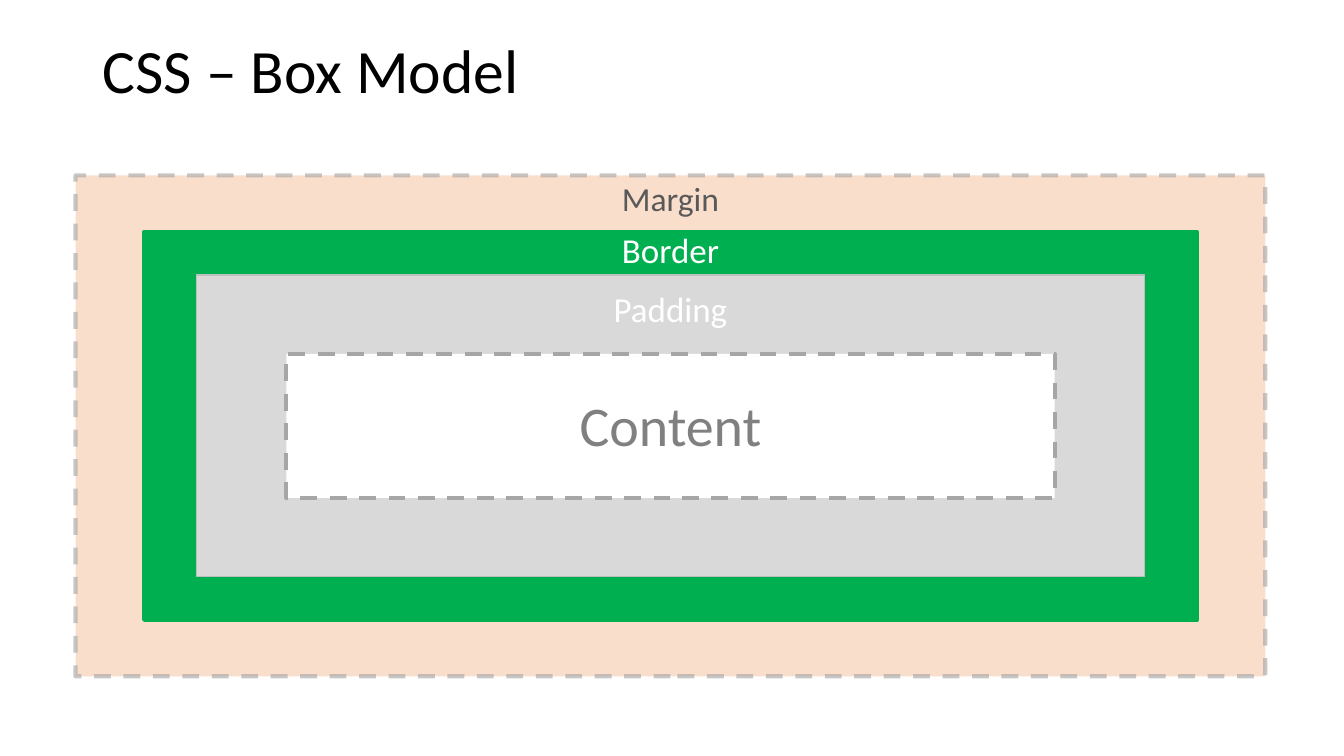
from collections import namedtuple

from lxml import etree
from pptx import Presentation
from pptx.dml.color import RGBColor
from pptx.enum.dml import MSO_LINE_DASH_STYLE as DASH
from pptx.enum.shapes import MSO_SHAPE as SHAPE
from pptx.enum.text import MSO_ANCHOR as ANCHOR, MSO_AUTO_SIZE as FIT, PP_ALIGN as ALIGN
from pptx.oxml.ns import qn
from pptx.util import Emu, Pt

PX = 9144  # 100 px to the inch
FONT = "Calibri"
COLORS = {
    "title": "000000", "white": "FFFFFF", "peach": "F8CBAD", "green": "00B050",
    "light": "D9D9D9", "silver": "BFBFBF", "gray": "A6A6A6",
    "dark": "595959", "medium": "808080",
}

Box = namedtuple("Box", "x y w h")
# inset: distance (x, y) from the enclosing layer; label: offset from layer top, width, height
Layer = namedtuple("Layer", "name inset fill line line_pt dash alpha label size color")

LAYERS = [
    Layer("Margin", (0, 0), "peach", "gray", 3, True, 62, (-2, 118, 50), 24, "dark"),
    Layer("Border", (68, 56), "green", "green", 3, False, 100, (-8, 118, 52), 25, "white"),
    Layer("Padding", (52, 43), "light", "silver", 1, False, 100, (7, 134, 52), 25, "white"),
    Layer("Content", (89, 78), "white", "gray", 3, True, 100, (32, 269, 77), 40, "medium"),
]


def rgb(name):
    return RGBColor.from_string(COLORS[name])


def emu(box):
    return [Emu(round(v * PX)) for v in box]


def set_font(p, size, color):
    p.font.name = FONT
    p.font.size = Pt(size)
    p.font.color.rgb = rgb(color)


def set_alpha(sp, percent):
    """Make the fill and the line of a shape partly transparent."""
    for clr in sp._element.spPr.iter(qn("a:srgbClr")):
        etree.SubElement(clr, qn("a:alpha"), val=str(percent * 1000))


def add_title(slide, box, text):
    title = slide.shapes.title
    title.left, title.top, title.width, title.height = emu(box)
    tf = title.text_frame
    tf.text = text
    tf.vertical_anchor = ANCHOR.MIDDLE
    p = tf.paragraphs[0]
    p.alignment = ALIGN.LEFT
    p.line_spacing = 0.9
    set_font(p, 44, "title")


def add_layer(slide, box, layer):
    sp = slide.shapes.add_shape(SHAPE.RECTANGLE, *emu(box))
    sp.shadow.inherit = False
    sp.fill.solid()
    sp.fill.fore_color.rgb = rgb(layer.fill)
    sp.line.color.rgb = rgb(layer.line)
    sp.line.width = Pt(layer.line_pt)
    if layer.dash:
        sp.line.dash_style = DASH.DASH
    if layer.alpha < 100:
        set_alpha(sp, layer.alpha)


def add_label(slide, box, layer):
    """Centre the name of a layer across its box."""
    dy, w, h = layer.label
    area = Box(box.x + (box.w - w) / 2, box.y + dy, w, h)
    tf = slide.shapes.add_textbox(*emu(area)).text_frame
    tf.word_wrap = True
    tf.auto_size = FIT.SHAPE_TO_FIT_TEXT
    p = tf.paragraphs[0]
    p.text = layer.name
    p.alignment = ALIGN.CENTER
    set_font(p, layer.size, layer.color)


def add_box_model(slide, box):
    """Nest the layers from the outermost inwards."""
    for layer in LAYERS:
        dx, dy = layer.inset
        box = Box(box.x + dx, box.y + dy, box.w - 2 * dx, box.h - 2 * dy)
        add_layer(slide, box, layer)
        add_label(slide, box, layer)


def main():
    prs = Presentation()
    prs.slide_width, prs.slide_height = emu((1333, 750))
    slide = prs.slides.add_slide(prs.slide_layouts[5])
    add_title(slide, Box(92, 0, 1150, 145), "CSS – Box Model")
    add_box_model(slide, Box(75, 174, 1180, 497))
    prs.save("out.pptx")


if __name__ == "__main__":
    main()
